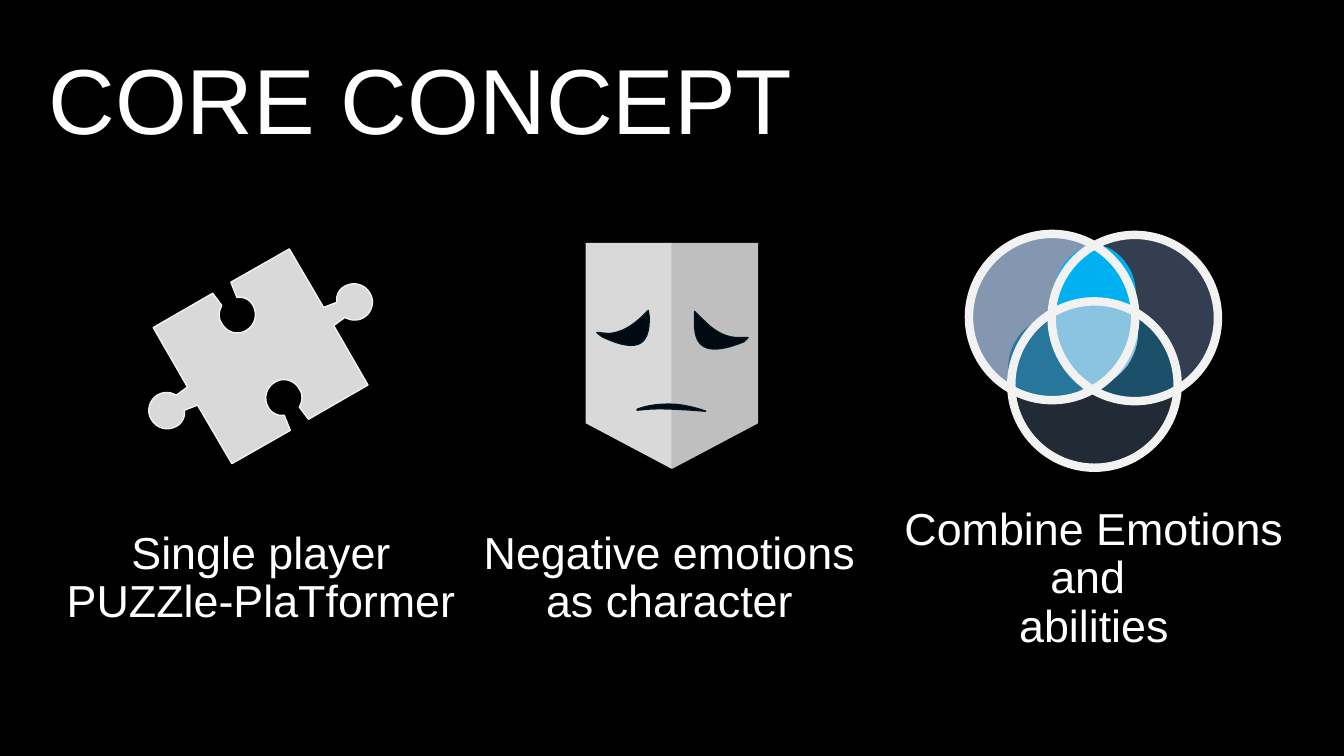
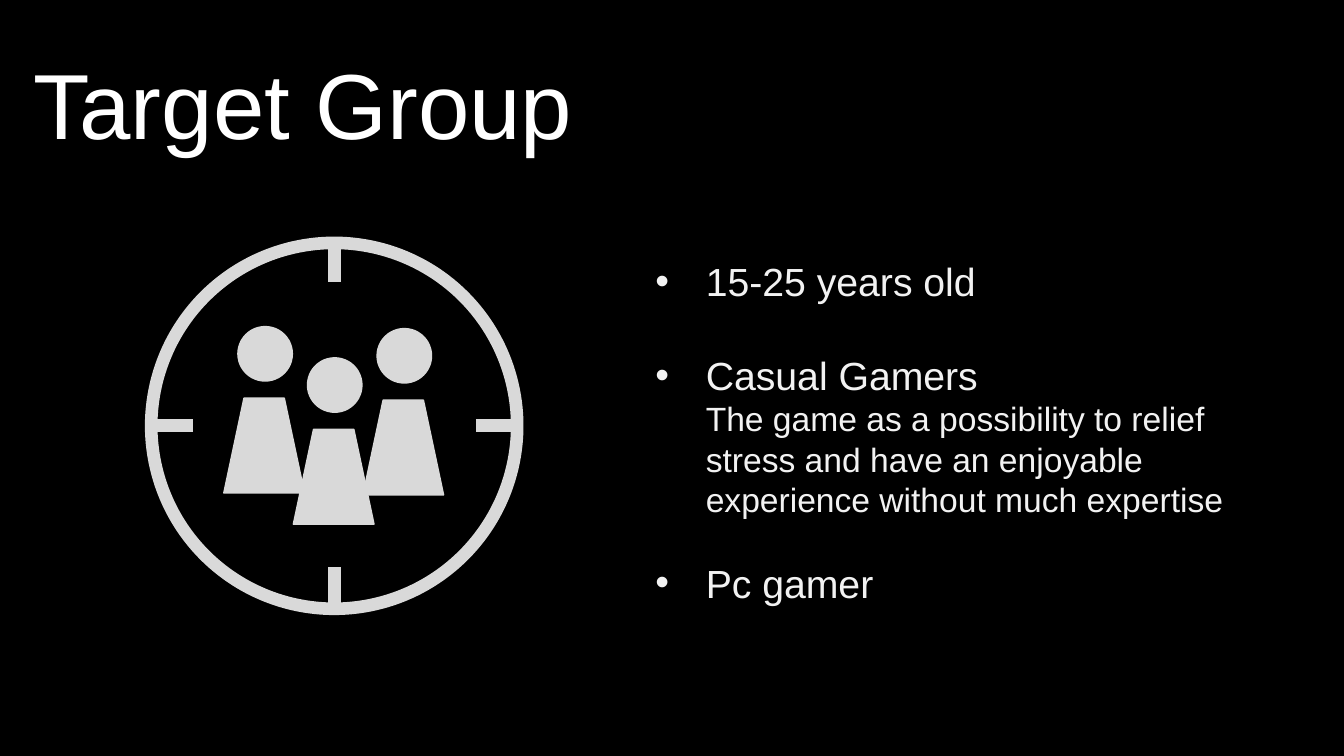
from pptx import Presentation
from pptx.dml.color import RGBColor as Rgb
from pptx.enum.shapes import MSO_CONNECTOR as Link, MSO_SHAPE as Kind
from pptx.enum.text import MSO_ANCHOR as Anchor, MSO_AUTO_SIZE as Fit, PP_ALIGN as Align
from pptx.oxml.ns import qn
from pptx.util import Inches, Pt
from lxml.etree import SubElement as Sub

# Style: the grid is 13.33 columns by 7.5 rows of one-inch cells
COLS, ROWS = 13.33, 7.5
FONT = "Arial"
BLACK = Rgb(0x00, 0x00, 0x00)
WHITE = Rgb(0xFF, 0xFF, 0xFF)
PALE = Rgb(0xF2, 0xF2, 0xF2)
LIGHT = Rgb(0xD9, 0xD9, 0xD9)
SHADE = Rgb(0xBF, 0xBF, 0xBF)
INK = Rgb(0x00, 0x0A, 0x10)
EDGE = Rgb(0x01, 0x15, 0x21)
NIGHT = Rgb(0x22, 0x2A, 0x35)
SLATE = Rgb(0x33, 0x3F, 0x50)
STEEL = Rgb(0x84, 0x97, 0xB0)
TEAL = Rgb(0x29, 0x76, 0x9D)
DEEP = Rgb(0x1C, 0x4F, 0x69)
BLUE = Rgb(0x00, 0xB0, 0xF0)
SKY = Rgb(0x8B, 0xC4, 0xE0)


def grid(*cells):
    return [Inches(cell) for cell in cells]


def remap(steps, x, y, scale):
    """Scale an outline and move it by x, y."""
    return [tuple(n * scale + (y if i % 2 else x) for i, n in enumerate(step))
            for step in steps]


class Deck:
    def __init__(self):
        self.prs = Presentation()
        self.prs.slide_width, self.prs.slide_height = grid(COLS, ROWS)
        fill = self.prs.slide_master.background.fill
        fill.solid()
        fill.fore_color.rgb = BLACK
        self.slide = None

    def start(self, layout, title, left, top):
        self.slide = self.prs.slides.add_slide(self.prs.slide_layouts[layout])
        head = self.slide.shapes.title
        self.place(head, left, top, 10.38, 1.61)
        self.lines(head.text_frame, [title], 66, Align.LEFT)

    def place(self, shape, *box):
        shape.left, shape.top, shape.width, shape.height = grid(*box)

    def run(self, para, text, size, color):
        """Add text; each line after the first follows a line break."""
        for i, line in enumerate(text.split("\n")):
            if i:
                para.add_line_break()
                props = Sub(para._p[-1], qn("a:rPr"), sz=str(size * 100))
                Sub(props, qn("a:latin"), typeface=FONT)
            if line:
                run = para.add_run()
                run.text = line
                run.font.name, run.font.size = FONT, Pt(size)
                run.font.color.rgb = color

    def frame(self, frame, anchor):
        frame.word_wrap = True
        frame.auto_size = Fit.NONE
        frame.vertical_anchor = anchor

    def lines(self, frame, texts, size, align):
        self.frame(frame, Anchor.MIDDLE)
        for i, text in enumerate(texts):
            para = frame.add_paragraph() if i else frame.paragraphs[0]
            para.alignment, para.line_spacing = align, 0.9
            self.run(para, text, size, WHITE)

    def label(self, left, *texts):
        box = self.slide.shapes.add_textbox(*grid(left, 4.94, 4.1, 1.61))
        self.lines(box.text_frame, texts, 32, Align.CENTER)

    def bullets(self, box, items):
        """Fill the body with items: space before, then (text, size) runs."""
        body = self.slide.placeholders[1]
        self.place(body, *box)
        frame = body.text_frame
        self.frame(frame, Anchor.TOP)
        for i, (gap, *runs) in enumerate(items):
            para = frame.add_paragraph() if i else frame.paragraphs[0]
            para.space_before = Pt(gap)
            props = para._p.get_or_add_pPr()
            props.set("marL", str(Inches(0.5)))
            props.set("indent", str(Inches(-0.5)))
            Sub(props, qn("a:buFont"), typeface=FONT)
            Sub(props, qn("a:buChar"), char="•")
            for text, size in runs:
                self.run(para, text, size, PALE)

    def paint(self, shape, fill, line, width):
        shape.shadow.inherit = False
        if fill is None:
            shape.fill.background()
        else:
            shape.fill.solid()
            shape.fill.fore_color.rgb = fill
        if line is None:
            shape.line.fill.background()
        else:
            shape.line.color.rgb, shape.line.width = line, Pt(width)

    def shape(self, kind, box, fill=None, line=None, width=1):
        self.paint(self.slide.shapes.add_shape(kind, *grid(*box)), fill, line, width)

    def free(self, loops, fill, line=None):
        """Draw closed outlines; two numbers make a line, six a curve."""
        pen = None
        for loop in loops:
            first, *rest = [grid(*step[-2:]) for step in loop]
            if pen is None:
                pen = self.slide.shapes.build_freeform(*first)
            else:
                pen.move_to(*first)
            pen.add_line_segments(rest, close=True)
        shape = pen.convert_to_shape()
        self.paint(shape, fill, line, 1)

        # Bend the segments that carry control points
        nodes = list(shape._element.iter(qn("a:lnTo")))
        steps = [step for loop in loops for step in loop[1:]]
        for node, step in zip(nodes, steps):
            if len(step) == 6:
                node.tag = qn("a:cubicBezTo")
                node.remove(node[0])
                for x, y in zip(grid(*step[::2]), grid(*step[1::2])):
                    Sub(node, qn("a:pt"), x=str(x - shape.left), y=str(y - shape.top))
        return shape

    def stroke(self, ends, color, width):
        line = self.slide.shapes.add_connector(Link.STRAIGHT, *grid(*ends))
        line.line.color.rgb, line.line.width = color, Pt(width)
        Sub(line._element.spPr, qn("a:effectLst"))


# Half of the puzzle piece; the other half is its half-turn
PUZZLE = [
    (1.52, 3.25), (2.11, 2.91), (2.2, 3.03), (2.18, 3.08),
    (2.17, 3.12, 2.17, 3.17, 2.2, 3.21), (2.25, 3.3, 2.36, 3.33, 2.44, 3.28),
    (2.53, 3.23, 2.56, 3.12, 2.51, 3.03), (2.49, 2.99, 2.45, 2.96, 2.4, 2.95),
    (2.35, 2.95), (2.29, 2.8), (2.87, 2.47), (3.21, 3.05), (3.34, 3), (3.34, 2.95),
    (3.35, 2.9, 3.38, 2.86, 3.42, 2.84), (3.51, 2.79, 3.62, 2.82, 3.67, 2.91),
    (3.72, 2.99, 3.69, 3.1, 3.61, 3.15), (3.56, 3.18, 3.51, 3.18, 3.47, 3.17),
    (3.42, 3.15), (3.31, 3.23),
]
# Mouth, right eye and left eye
MOUTH = [
    (6.64, 4.01), (6.74, 4.01, 6.84, 4.03, 6.94, 4.06), (7, 4.08), (6.87, 4.07),
    (6.71, 4.06, 6.55, 4.05, 6.42, 4.06), (6.32, 4.07), (6.32, 4.06),
    (6.43, 4.02, 6.53, 4.01, 6.64, 4.01),
]
RIGHT = [
    (6.89, 3.09), (6.97, 3.17), (7.06, 3.26, 7.16, 3.34, 7.3, 3.35), (7.42, 3.35),
    (7.38, 3.39), (6.96, 3.56, 6.88, 3.41, 6.89, 3.17),
]
LEFT = [
    (6.43, 3.08), (6.44, 3.15), (6.44, 3.38, 6.37, 3.53, 5.97, 3.34), (5.92, 3.3),
    (6.04, 3.31), (6.17, 3.3, 6.27, 3.23, 6.36, 3.15),
]
# Overlap of the circles, measured from its own corner
LENS = [
    (0.41, 0), (0.61, 0, 0.78, 0.09, 0.82, 0.21), (0.82, 0.22), (0.83, 0.22),
    (0.9, 0.33, 0.87, 0.52, 0.76, 0.68), (0.62, 0.86, 0.41, 0.94, 0.29, 0.85),
    (0.26, 0.83, 0.24, 0.8, 0.23, 0.76), (0.22, 0.73), (0.21, 0.72),
    (0.19, 0.7, 0.17, 0.68, 0.15, 0.66), (0.08, 0.57, 0.04, 0.47, 0.03, 0.38),
    (0.03, 0.36), (0.01, 0.32), (0, 0.3, 0, 0.28, 0, 0.26),
    (0, 0.12, 0.18, 0, 0.41, 0),
]


def concept(deck):
    deck.start(5, "CORE CONCEPT", 0.38, 0.23)

    # Puzzle piece
    deck.free([PUZZLE + remap(PUZZLE, 5.17, 7.07, -1)], LIGHT, PALE)
    deck.label(0.54, "Single player", "PUZZle-PlaTformer")

    # Sad mask, its halves overlapping a little
    for edge, seam, tip, fill in ((5.81, 6.67, 6.66, LIGHT), (7.52, 6.66, 6.67, SHADE)):
        deck.free([[(edge, 2.41), (seam, 2.41), (seam, 4.65), (tip, 4.65), (edge, 4.2)]], fill)
    deck.free([MOUTH, RIGHT, LEFT], INK, EDGE)
    deck.label(4.59, "Negative emotions\nas character")

    # Three circles, their overlaps and rings
    deck.label(8.8, "Combine Emotions and \nabilities")
    for x, y, fill in ((10.08, 3.02, NIGHT), (10.48, 2.34, SLATE), (9.63, 2.34, STEEL)):
        deck.shape(Kind.OVAL, (x, y, 1.61, 1.61), fill)
    for x, y, scale, angle, fill in ((10.02, 3.21, 0.92, 165, TEAL),
                                     (10.88, 3.23, 0.92, 60, DEEP),
                                     (10.48, 2.47, 0.92, 300, BLUE),
                                     (10.42, 2.95, 1, 0, SKY)):
        deck.free([remap(LENS, x, y, scale)], fill).rotation = angle
    for x, y in ((9.61, 2.32), (10.03, 2.99), (10.43, 2.33)):
        deck.shape(Kind.OVAL, (x, y, 1.65, 1.65), None, PALE, 6)


def target(deck):
    deck.start(1, "Target Group", 0.23, 0.28)
    deck.bullets((6.4, 2.5, 6.2, 4.41), [
        (0, ("15-25 years old", 28)),
        (33.5, ("Casual Gamers\n", 28),
         ("The game as a possibility to relief stress and have an enjoyable "
          "experience without much expertise", 24)),
        (28.5, ("Pc gamer", 28)),
    ])

    # Crosshair
    deck.shape(Kind.OVAL, (1.5, 2.41, 3.63, 3.63), None, LIGHT, 9)
    tick = 0.41
    for x in (1.5, 4.72):
        deck.stroke((x, 4.22, x + tick, 4.22), LIGHT, 9)
    for y in (2.39, 5.63):
        deck.stroke((3.32, y, 3.32, y + tick), LIGHT, 9)

    # People
    for x, y in ((2.36, 3.24), (3.05, 3.55), (3.74, 3.26)):
        deck.shape(Kind.TRAPEZOID, (x - 0.14, y + 0.71, 0.8, 0.94), LIGHT, LIGHT)
        deck.shape(Kind.FLOWCHART_CONNECTOR, (x, y, 0.54, 0.54), LIGHT, LIGHT)


def main():
    deck = Deck()
    concept(deck)
    target(deck)
    deck.prs.save("out.pptx")


if __name__ == "__main__":
    main()
